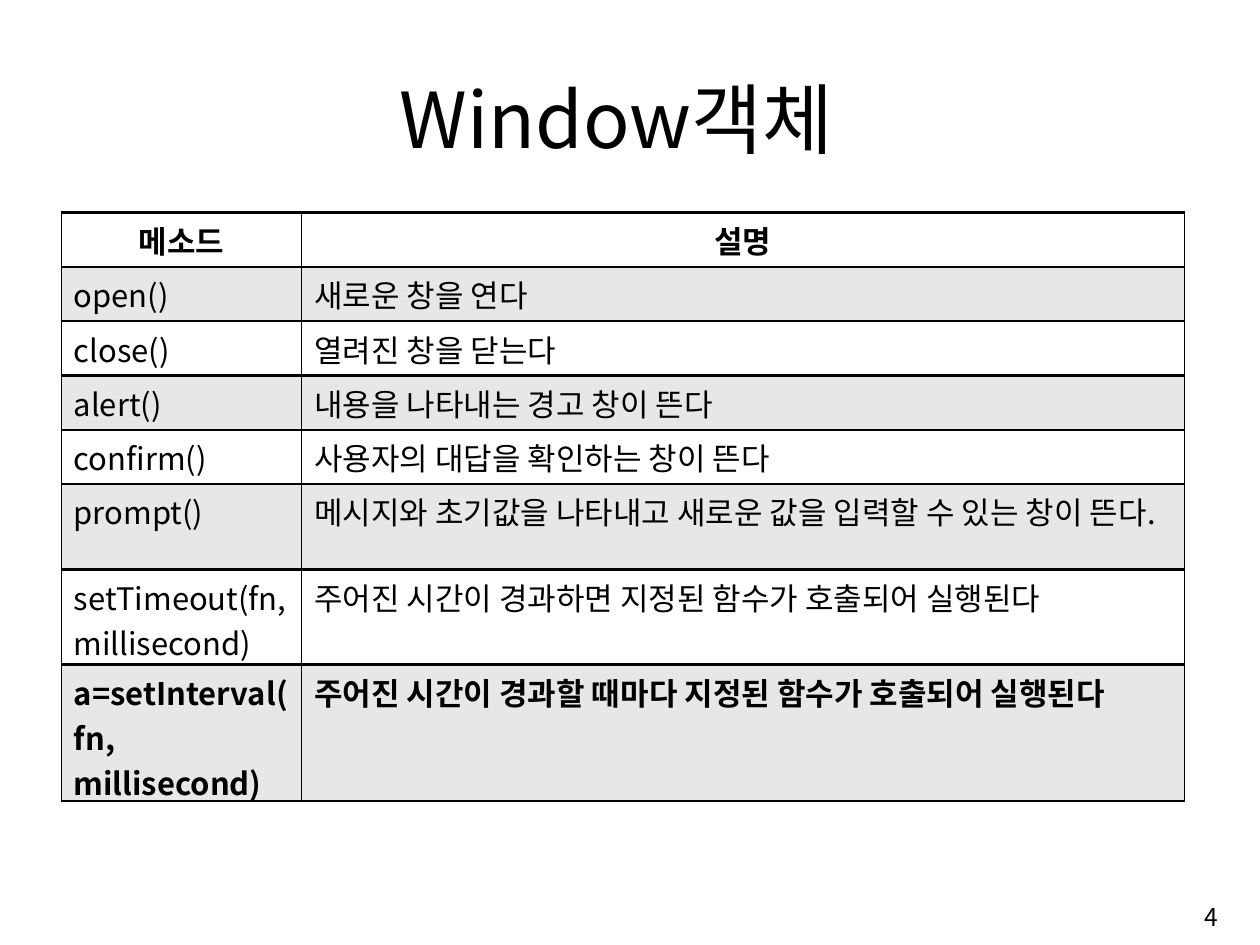
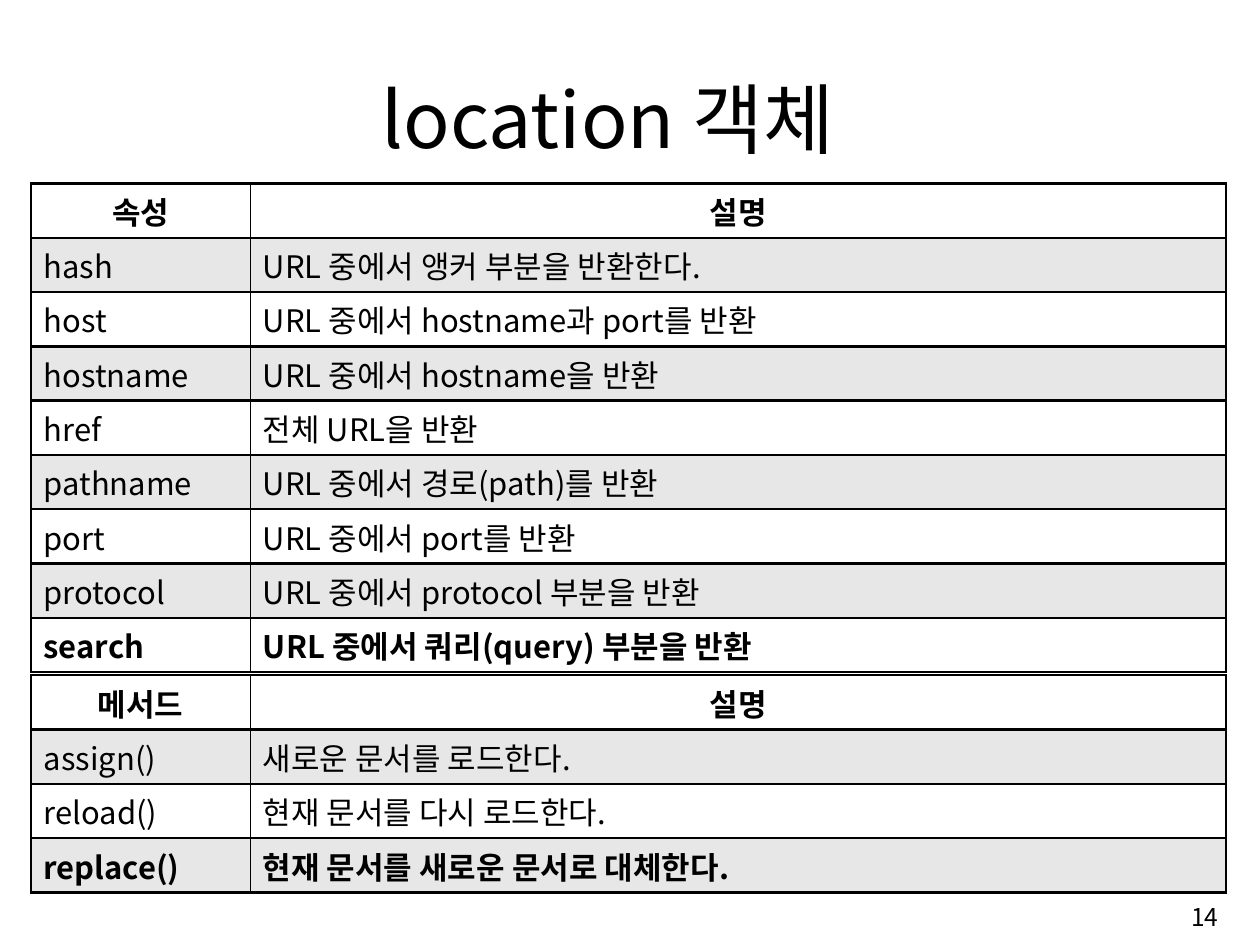
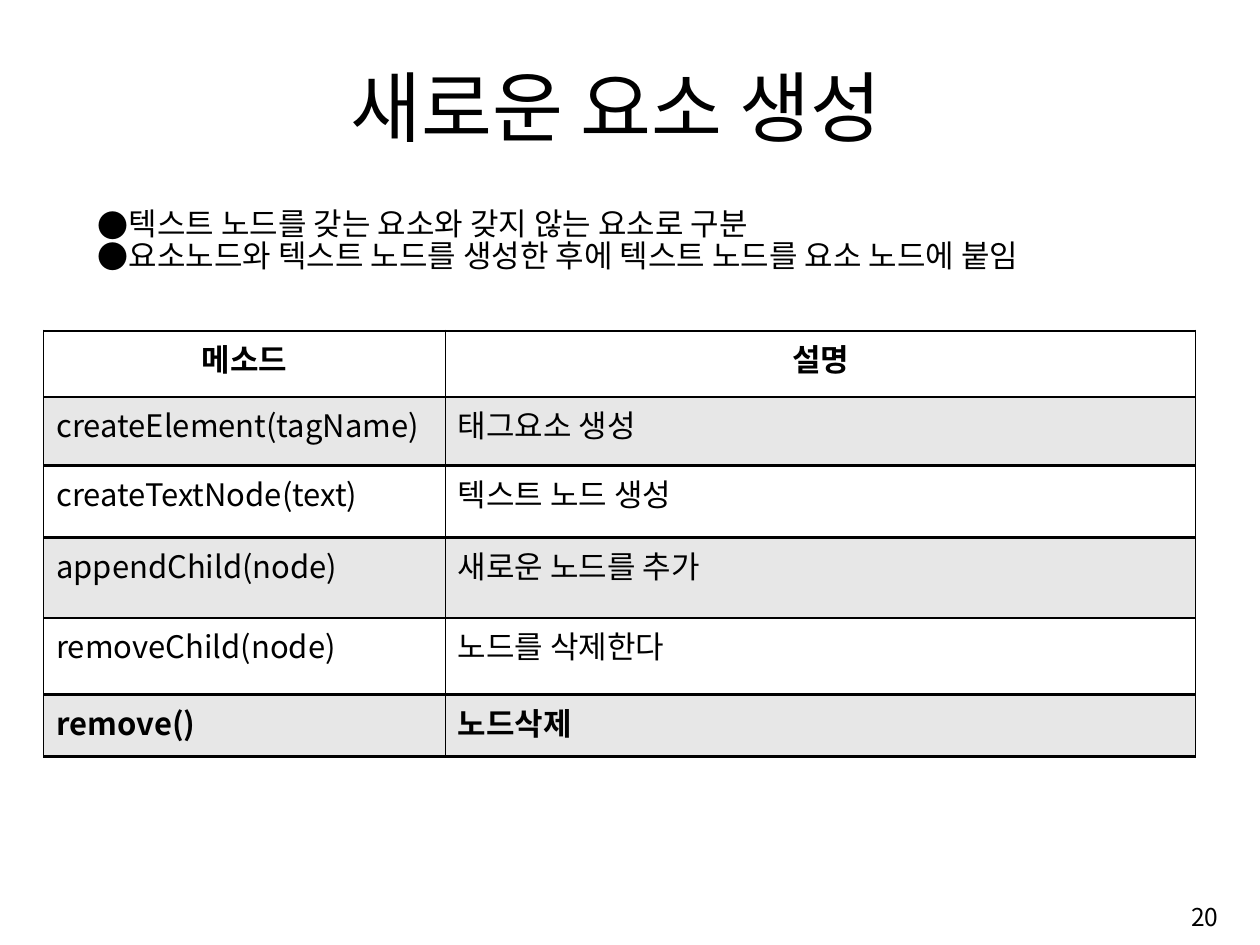
from dataclasses import dataclass

from lxml.etree import SubElement
from pptx import Presentation
from pptx.dml.color import RGBColor
from pptx.enum.text import MSO_ANCHOR as Anchor, PP_ALIGN as Align
from pptx.oxml.ns import qn
from pptx.util import Inches, Pt

# Shared style
FONT = "Noto Sans CJK KR"
BLACK = RGBColor(0x00, 0x00, 0x00)
WHITE = RGBColor(0xFF, 0xFF, 0xFF)
GRAY = RGBColor(0xE7, 0xE7, 0xE7)
TITLE_SIZE, BODY_SIZE, NUMBER_SIZE = 57.2, 23, 18.2
HORIZONTAL_BORDER, VERTICAL_BORDER = 1.98, 1
ROW_HEIGHT = 0.56
BULLET_INDENT = 0.28


@dataclass
class Box:
    left: float
    top: float
    width: float
    height: float

    def lengths(self) -> list:
        return [Inches(n) for n in (self.left, self.top, self.width, self.height)]


@dataclass
class TableSpec:
    left: float
    top: float
    column_widths: list[float]
    rows: list[tuple[str, str]]
    row_heights: list[float]
    bold_last: bool = True


@dataclass
class SlideSpec:
    title: str
    number: int
    tables: list[TableSpec]
    title_height: float = 1.08
    bullets: tuple[str, ...] = ()


# Text helpers
def style_paragraph(paragraph, size: float, align=Align.LEFT, bold: bool = False) -> None:
    paragraph.alignment = align
    for run in paragraph.runs:
        run.font.size = Pt(size)
        run.font.bold = bold
        run.font.color.rgb = BLACK
        run.font.name = FONT
        SubElement(run.font._element, qn("a:ea"), typeface=FONT)


def add_text(slide, box: Box, text: str, size: float, align, anchor,
             inset_x: float = 0.1, inset_y: float = 0.05):
    text_frame = slide.shapes.add_textbox(*box.lengths()).text_frame
    text_frame.word_wrap = True
    text_frame.vertical_anchor = anchor
    text_frame.margin_left = text_frame.margin_right = Inches(inset_x)
    text_frame.margin_top = text_frame.margin_bottom = Inches(inset_y)
    text_frame.text = text
    for paragraph in text_frame.paragraphs:
        style_paragraph(paragraph, size, align)
    return text_frame


def add_bullets(slide, lines: tuple[str, ...]) -> None:
    text_frame = add_text(slide, Box(0.88, 1.79, 11.03, 1.08), "\n".join(lines),
                          BODY_SIZE, Align.LEFT, Anchor.BOTTOM, inset_x=0.13)
    for paragraph in text_frame.paragraphs:
        paragraph.line_spacing = 0.85
        properties = paragraph._p.get_or_add_pPr()
        properties.set("marL", str(Inches(BULLET_INDENT)))
        properties.set("indent", str(-Inches(BULLET_INDENT)))
        color = SubElement(properties, qn("a:buClr"))
        SubElement(color, qn("a:srgbClr"), val=str(BLACK))
        SubElement(properties, qn("a:buFont"), typeface=FONT)
        SubElement(properties, qn("a:buChar"), char="●")


# Table helpers
def add_borders(cell) -> None:
    properties = cell._tc.get_or_add_tcPr()
    for side, points in (("L", VERTICAL_BORDER), ("R", VERTICAL_BORDER),
                         ("T", HORIZONTAL_BORDER), ("B", HORIZONTAL_BORDER)):
        line = SubElement(properties, qn(f"a:ln{side}"), w=str(Pt(points)))
        fill = SubElement(line, qn("a:solidFill"))
        SubElement(fill, qn("a:srgbClr"), val=str(BLACK))


def add_table(slide, spec: TableSpec) -> None:
    box = Box(spec.left, spec.top, sum(spec.column_widths), sum(spec.row_heights))
    table = slide.shapes.add_table(len(spec.rows), len(spec.column_widths),
                                   *box.lengths()).table
    table.horz_banding = False
    for column, width in zip(table.columns, spec.column_widths):
        column.width = Inches(width)
    last = len(spec.rows) - 1
    for index, (row, texts) in enumerate(zip(table.rows, spec.rows)):
        row.height = Inches(spec.row_heights[index])
        is_header = index == 0
        for cell, text in zip(row.cells, texts):
            cell.margin_left = cell.margin_right = Inches(0.13)
            cell.margin_top = cell.margin_bottom = Inches(0.05)
            add_borders(cell)
            cell.fill.solid()
            cell.fill.fore_color.rgb = GRAY if index % 2 else WHITE
            cell.text_frame.text = text
            style_paragraph(cell.text_frame.paragraphs[0], BODY_SIZE,
                            Align.CENTER if is_header else Align.LEFT,
                            is_header or (spec.bold_last and index == last))


def add_slide(presentation, spec: SlideSpec) -> None:
    slide = presentation.slides.add_slide(presentation.slide_layouts[6])
    slide.background.fill.solid()
    slide.background.fill.fore_color.rgb = WHITE
    add_text(slide, Box(1.05, 0.61, 10.61, spec.title_height), spec.title,
             TITLE_SIZE, Align.CENTER, Anchor.BOTTOM, inset_y=0)
    for table in spec.tables:
        add_table(slide, table)
    add_text(slide, Box(9.98, 9.15, 2.68, 0.6), str(spec.number),
             NUMBER_SIZE, Align.RIGHT, Anchor.MIDDLE)
    if spec.bullets:
        add_bullets(slide, spec.bullets)


# Content
WINDOW_METHODS = TableSpec(0.63, 2.19, [2.48, 9.1], [
    ("메소드", "설명"),
    ("open()", "새로운 창을 연다"),
    ("close()", "열려진 창을 닫는다"),
    ("alert()", "내용을 나타내는 경고 창이 뜬다"),
    ("confirm()", "사용자의 대답을 확인하는 창이 뜬다"),
    ("prompt()", "메시지와 초기값을 나타내고 새로운 값을 입력할 수 있는 창이 뜬다."),
    ("setTimeout(fn, millisecond)", "주어진 시간이 경과하면 지정된 함수가 호출되어 실행된다"),
    ("a=setInterval(fn, millisecond)", "주어진 시간이 경과할 때마다 지정된 함수가 호출되어 실행된다"),
], [ROW_HEIGHT] * 5 + [0.88, 0.98, 1.41])

LOCATION_PROPERTIES = TableSpec(0.32, 1.89, [2.26, 10.06], [
    ("속성", "설명"),
    ("hash", "URL 중에서 앵커 부분을 반환한다."),
    ("host", "URL 중에서 hostname과 port를 반환"),
    ("hostname", "URL 중에서 hostname을 반환"),
    ("href", "전체 URL을 반환"),
    ("pathname", "URL 중에서 경로(path)를 반환"),
    ("port", "URL 중에서 port를 반환"),
    ("protocol", "URL 중에서 protocol 부분을 반환"),
    ("search", "URL 중에서 쿼리(query) 부분을 반환"),
], [ROW_HEIGHT] * 9)

LOCATION_METHODS = TableSpec(0.32, 6.96, [2.26, 10.06], [
    ("메서드", "설명"),
    ("assign()", "새로운 문서를 로드한다."),
    ("reload()", "현재 문서를 다시 로드한다."),
    ("replace()", "현재 문서를 새로운 문서로 대체한다."),
], [ROW_HEIGHT] * 4)

NODE_METHODS = TableSpec(0.45, 3.41, [4.14, 7.74], [
    ("메소드", "설명"),
    ("createElement(tagName)", "태그요소 생성"),
    ("createTextNode(text)", "텍스트 노드 생성"),
    ("appendChild(node)", "새로운 노드를 추가"),
    ("removeChild(node)", "노드를 삭제한다"),
    ("remove()", "노드삭제"),
], [0.68, 0.71, 0.74, 0.83, 0.79, 0.64])

SLIDES = [
    SlideSpec("Window객체", 4, [WINDOW_METHODS]),
    SlideSpec("location 객체 ", 14, [LOCATION_PROPERTIES, LOCATION_METHODS]),
    SlideSpec("새로운 요소 생성", 20, [NODE_METHODS], title_height=0.96, bullets=(
        "텍스트 노드를 갖는 요소와 갖지 않는 요소로 구분",
        "요소노드와 텍스트 노드를 생성한 후에 텍스트 노드를 요소 노드에 붙임",
    )),
]


def main() -> None:
    presentation = Presentation()
    presentation.slide_width = Inches(12.99)
    presentation.slide_height = Inches(9.74)
    for spec in SLIDES:
        add_slide(presentation, spec)
    presentation.save("out.pptx")


if __name__ == "__main__":
    main()
